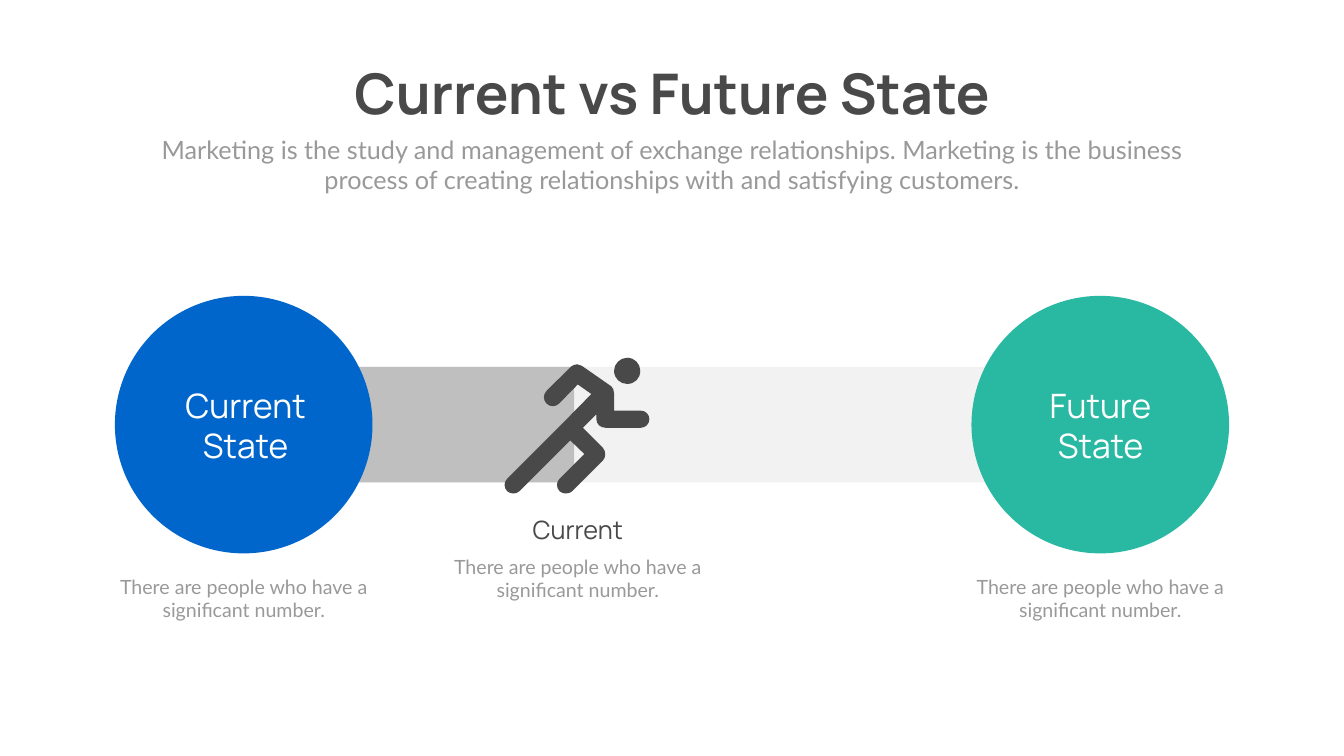
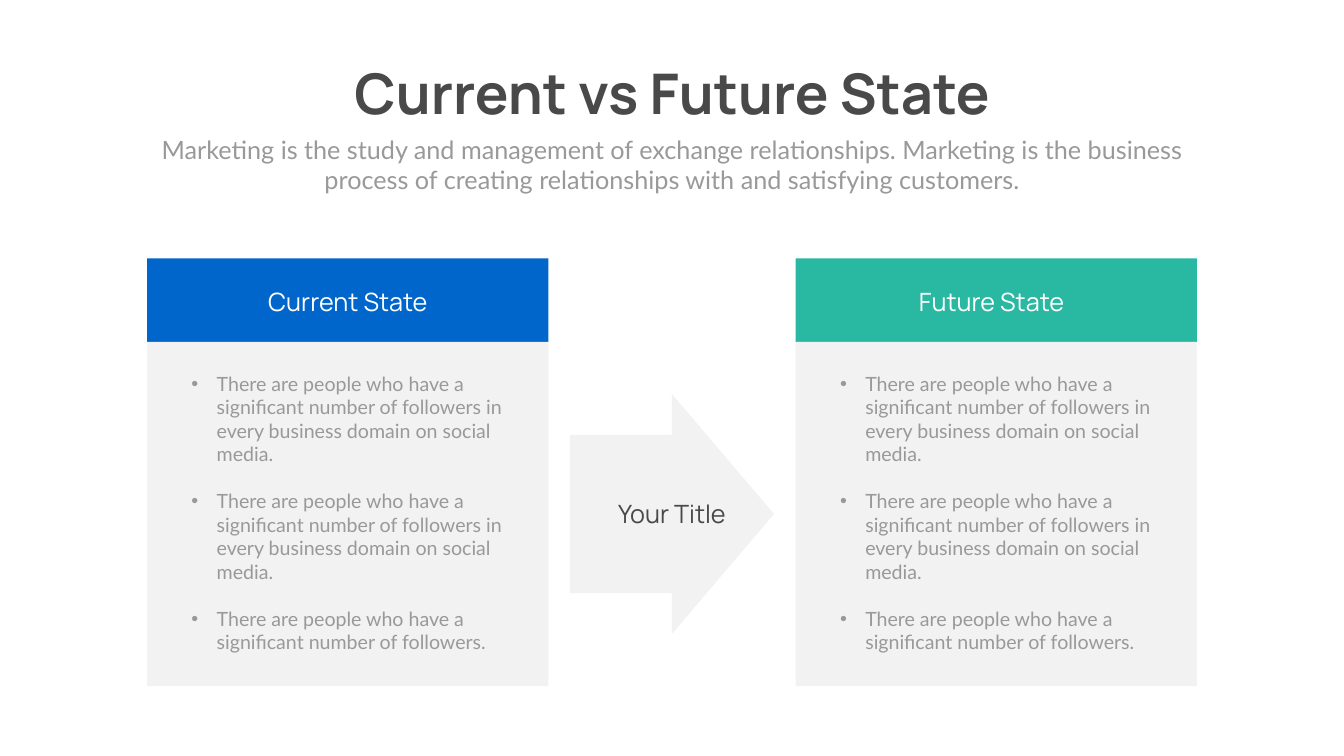
from lxml.etree import SubElement
from pptx import Presentation
from pptx.dml.color import RGBColor
from pptx.enum.shapes import MSO_SHAPE
from pptx.enum.text import MSO_ANCHOR, MSO_AUTO_SIZE, PP_ALIGN
from pptx.oxml.ns import qn
from pptx.util import Cm, Pt

DARK = RGBColor(0x49, 0x49, 0x49)
GRAY = RGBColor(0x99, 0x99, 0x99)
MID = RGBColor(0xBF, 0xBF, 0xBF)
LIGHT = RGBColor(0xF2, 0xF2, 0xF2)
BLUE = RGBColor(0x00, 0x66, 0xCB)
GREEN = RGBColor(0x29, 0xB9, 0xA2)
WHITE = RGBColor(0xFF, 0xFF, 0xFF)
HEAD_FONT, BODY_FONT = "Manrope", "Lato"

TITLE = "Current vs Future State"
SUBTITLE = ("Marketing is the study and management of exchange relationships. Marketing is "
            "the business process of creating relationships with and satisfying customers.")
CAPTION = "There are people who have a significant number."
FOLLOWERS = "There are people who have a significant number of followers"
LONG_POINT = f"{FOLLOWERS} in every business domain on social media."
POINTS = [LONG_POINT, LONG_POINT, f"{FOLLOWERS}."]

# Runner outlines in hundredths of an inch: pairs are lines, sixes are Bézier curves
RUNNER_W, RUNNER_H = 287, 269
RUNNER = [
    [(144, 13), (147, 14, 150, 14, 153, 16), (209, 55), (211, 56),
     (215, 60, 217, 65, 217, 70), (217, 105), (270, 105),
     (279, 105, 287, 112, 287, 122), (287, 132, 279, 139, 270, 139), (200, 139),
     (190, 139, 182, 132, 182, 122), (182, 112), (155, 139), (195, 179),
     (201, 186, 201, 197, 195, 204), (134, 265), (127, 271, 116, 271, 109, 265),
     (102, 258, 102, 247, 109, 240), (158, 191), (130, 164), (29, 265),
     (23, 271, 12, 271, 5, 265), (-2, 258, -2, 247, 5, 240), (118, 127), (172, 72),
     (145, 53), (108, 91), (101, 98, 90, 98, 83, 91), (76, 84, 76, 73, 83, 66),
     (131, 18), (135, 15, 139, 13, 144, 13)],
    [(243, 0), (258, 0, 269, 12, 269, 26), (269, 41, 258, 52, 243, 52),
     (229, 52, 217, 41, 217, 26), (217, 12, 229, 0, 243, 0)],
]


def add_text(shapes, lines, x, y, w, h, size, font, color, align=PP_ALIGN.CENTER):
    sp = shapes.add_textbox(Cm(x), Cm(y), Cm(w), Cm(h))
    tf = sp.text_frame
    tf.word_wrap = True
    tf.auto_size = MSO_AUTO_SIZE.SHAPE_TO_FIT_TEXT
    tf.text = "\n".join(lines)
    for p in tf.paragraphs:
        p.alignment = align
        f = p.runs[0].font
        f.name, f.size, f.color.rgb = font, Pt(size), color
    return tf


def add_filled(s, kind, x, y, w, h, color):
    sp = s.shapes.add_shape(kind, Cm(x), Cm(y), Cm(w), Cm(h))
    sp.shadow.inherit = False
    sp.fill.solid()
    sp.fill.fore_color.rgb = color
    sp.line.fill.background()
    return sp


prs = Presentation()
prs.slide_width, prs.slide_height = Cm(67.72), Cm(38.1)

# Title and subtitle shared by both slides
for _ in range(2):
    s = prs.slides.add_slide(prs.slide_layouts[5])
    title = s.shapes.title
    title.left, title.top, title.width, title.height = Cm(16.69), Cm(2.84), Cm(34.37), Cm(3.68)
    tf = title.text_frame
    tf.text = TITLE
    tf.word_wrap = False
    tf.auto_size = MSO_AUTO_SIZE.SHAPE_TO_FIT_TEXT
    tf.vertical_anchor = MSO_ANCHOR.TOP
    tf.paragraphs[0].alignment = PP_ALIGN.CENTER
    f = tf.paragraphs[0].runs[0].font
    f.name, f.size, f.bold, f.color.rgb = HEAD_FONT, Pt(80), True, DARK
    add_text(s.shapes, [SUBTITLE], 7.42, 6.63, 52.88, 3.33, 36, BODY_FONT, GRAY)

progress, comparison = prs.slides

# Slide 1: progress bar between two circles
s = progress
add_filled(s, MSO_SHAPE.RECTANGLE, 12.27, 18.49, 43.15, 5.82, LIGHT)
add_filled(s, MSO_SHAPE.RECTANGLE, 10.95, 18.49, 17.98, 5.82, MID)

CIRCLE, LABEL_W, CAPTION_W = 12.98, 8.59, 13.59
for state, center, label_x, color in [("Current State", 12.28, 8.08, BLUE),
                                      ("Future State", 55.44, 51.16, GREEN)]:
    add_filled(s, MSO_SHAPE.OVAL, center - CIRCLE / 2, 14.91, CIRCLE, CIRCLE, color)
    add_text(s.shapes, [state], label_x, 19.28, LABEL_W, 4.37, 48, HEAD_FONT, WHITE)
    add_text(s.shapes, [CAPTION], center - CAPTION_W / 2, 28.83, CAPTION_W, 2.64,
             28, BODY_FONT, GRAY)

marker = s.shapes.add_group_shape()
builder = marker.shapes.build_freeform(*RUNNER[0][0], scale=Cm(2.54) / 100)
for i, outline in enumerate(RUNNER):
    if i:
        builder.move_to(*outline[0])
    builder.add_line_segments([segment[-2:] for segment in outline[1:]], close=True)
runner = builder.convert_to_shape()
runner.left, runner.top, runner.width, runner.height = Cm(25.43), Cm(18.03), Cm(7.29), Cm(6.83)

# Turn the six-number segments into curves, measured from the icon's corner
outline_path = next(runner._element.iter(qn("a:path")))
outline_path.set("w", str(RUNNER_W))
outline_path.set("h", str(RUNNER_H))
steps = [step for step in outline_path if step.tag != qn("a:close")]
for step, segment in zip(steps, RUNNER[0] + RUNNER[1]):
    for pt in list(step):
        step.remove(pt)
    if len(segment) == 6:
        step.tag = qn("a:cubicBezTo")
    for x, y in zip(segment[::2], segment[1::2]):
        SubElement(step, qn("a:pt"), x=str(x), y=str(y))
runner.shadow.inherit = False
runner.fill.solid()
runner.fill.fore_color.rgb = DARK
runner.line.fill.background()

MARKER_X = 29.11
add_text(marker.shapes, ["Current"], MARKER_X - LABEL_W / 2, 25.78, LABEL_W, 1.8,
         36, HEAD_FONT, DARK)
add_text(s.shapes, [CAPTION], MARKER_X - CAPTION_W / 2, 27.83, CAPTION_W, 2.64,
         28, BODY_FONT, GRAY)

# Slide 2: two panels joined by an arrow
s = comparison
for state, x, label_x, color in [("Current State", 7.41, 12.6, BLUE),
                                 ("Future State", 40.09, 45.03, GREEN)]:
    add_filled(s, MSO_SHAPE.RECTANGLE, x, 13.02, 20.22, 4.22, color)
    add_filled(s, MSO_SHAPE.RECTANGLE, x, 17.23, 20.22, 17.35, LIGHT)
    add_text(s.shapes, [state], label_x, 14.3, 9.86, 1.8, 36, HEAD_FONT, WHITE)
    tf = add_text(s.shapes, POINTS, x + 1.99, 18.6, 16.23, 14.63, 28, BODY_FONT, GRAY,
                  PP_ALIGN.LEFT)
    for i, p in enumerate(tf.paragraphs):
        pPr = p._p.get_or_add_pPr()
        pPr.set("marL", str(Cm(1.27)))
        pPr.set("indent", str(-Cm(1.27)))
        SubElement(pPr, qn("a:buFont")).set("typeface", "Arial")
        SubElement(pPr, qn("a:buChar")).set("char", "•")
        if i:
            p.space_before = Pt(33.6)

arrow = add_filled(s, MSO_SHAPE.RIGHT_ARROW, 28.71, 19.86, 10.29, 12.09, LIGHT)
arrow.adjustments[0], arrow.adjustments[1] = 0.66, 0.5
add_text(s.shapes, ["Your Title"], 29.62, 25.01, 8.48, 1.8, 36, HEAD_FONT, DARK)

prs.save("out.pptx")
